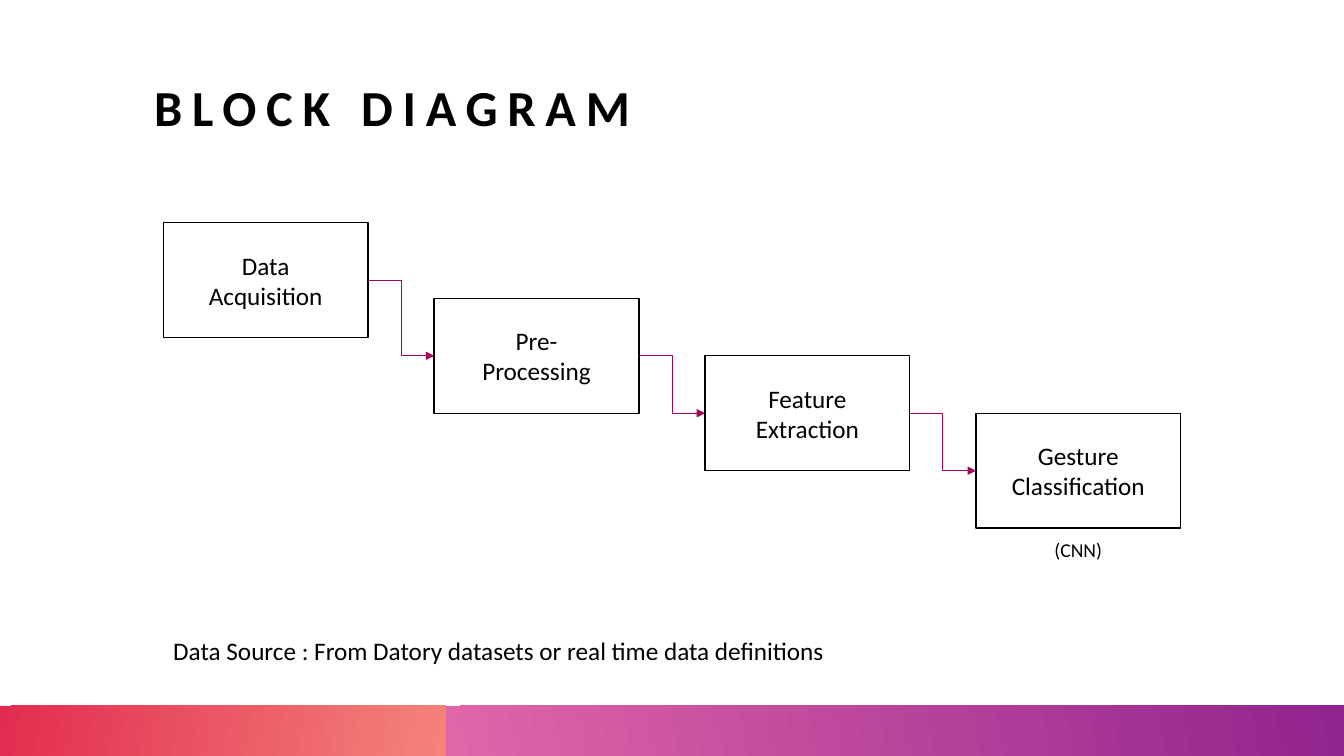
from lxml import etree
from pptx import Presentation
from pptx.dml.color import RGBColor
from pptx.enum.shapes import MSO_CONNECTOR as Connector, MSO_SHAPE as Shape
from pptx.enum.text import MSO_ANCHOR as Anchor, PP_ALIGN as Align
from pptx.oxml.ns import qn
from pptx.util import Inches, Pt

COLORS = {
    "ink": "000000", "arrow": "A6025C",
    "red": "E22D50", "salmon": "F4837A",
    "pink": "E066A8", "purple": "92248E",
}
FONT = "Calibri"


def color(name):
    """Return the named colour of the palette."""
    return RGBColor.from_string(COLORS[name])


def write(shape, lines, size, align=Align.LEFT, bold=False):
    """Fill a shape with one paragraph per line and format the runs."""
    frame = shape.text_frame
    frame.word_wrap = True
    frame.text = "\n".join(lines)
    for para in frame.paragraphs:
        para.alignment = align
        for span in para.runs:
            span.font.name = FONT
            span.font.size = Pt(size)
            span.font.bold = bold
            span.font.color.rgb = color("ink")
    return frame


deck = Presentation()
deck.slide_width, deck.slide_height = Inches(13.33), Inches(7.5)
page = deck.slides.add_slide(deck.slide_layouts[6])
shapes = page.shapes

# Footer bands: left, width, first colour, last colour, angle
bands = [
    (0, 4.42, "red", "salmon", 350),
    (4.42, 8.91, "pink", "purple", 10),
]
for left, width, first, last, angle in bands:
    band = shapes.add_shape(Shape.RECTANGLE, Inches(left), Inches(7), Inches(width), Inches(0.5))
    band.shadow.inherit = False
    band.line.fill.background()
    band.fill.gradient()
    band.fill.gradient_angle = angle
    for stop, name in zip(band.fill.gradient_stops, (first, last)):
        stop.color.rgb = color(name)

# Title
title = shapes.add_textbox(Inches(1.53), Inches(0), Inches(11.2), Inches(1.35))
frame = write(title, ["BLOCK DIAGRAM"], 36, bold=True)
frame.vertical_anchor = Anchor.BOTTOM
frame.margin_left = frame.margin_right = frame.margin_top = frame.margin_bottom = 0
frame.paragraphs[0].runs[0].font._element.set("spc", "700")

# Stages of the pipeline, evenly spaced from left to right
stages = [
    (["Data", "Acquisition"], 2.21),
    (["Pre- Processing"], 2.96),
    (["Feature", "Extraction"], 3.53),
    (["Gesture", "Classification"], 4.1),
]
first_left, last_left = 1.62, 9.68
step = (last_left - first_left) / (len(stages) - 1)
boxes = []
for index, (lines, top) in enumerate(stages):
    box = shapes.add_shape(Shape.RECTANGLE, Inches(first_left + index * step), Inches(top),
                           Inches(2.03), Inches(1.14))
    box.shadow.inherit = False
    box.fill.background()
    box.line.color.rgb = color("ink")
    box.line.width = Pt(1)
    frame = write(box, lines, 18, Align.CENTER)
    frame.vertical_anchor = Anchor.MIDDLE
    frame.margin_left = frame.margin_right = Inches(0.3)
    boxes.append(box)

# Arrows from the right side of each stage to the left side of the next
RIGHT_SIDE, LEFT_SIDE = 3, 1
for source, target in zip(boxes, boxes[1:]):
    arrow = shapes.add_connector(Connector.ELBOW, 0, 0, 0, 0)
    arrow.begin_connect(source, RIGHT_SIDE)
    arrow.end_connect(target, LEFT_SIDE)
    arrow.line.color.rgb = color("arrow")
    arrow.line.width = Pt(0.5)
    etree.SubElement(arrow.line._get_or_add_ln(), qn("a:tailEnd"), type="triangle")
    etree.SubElement(arrow._element.spPr, qn("a:effectLst"))

# Notes under the diagram
method = shapes.add_textbox(Inches(9.81), Inches(5.29), Inches(1.77), Inches(0.34))
write(method, ["(CNN)"], 14, Align.CENTER)
data_source = shapes.add_textbox(Inches(1.62), Inches(6.25), Inches(7.94), Inches(0.4))
write(data_source, ["Data Source : From Datory datasets or real time data definitions"], 18)

deck.save("out.pptx")
